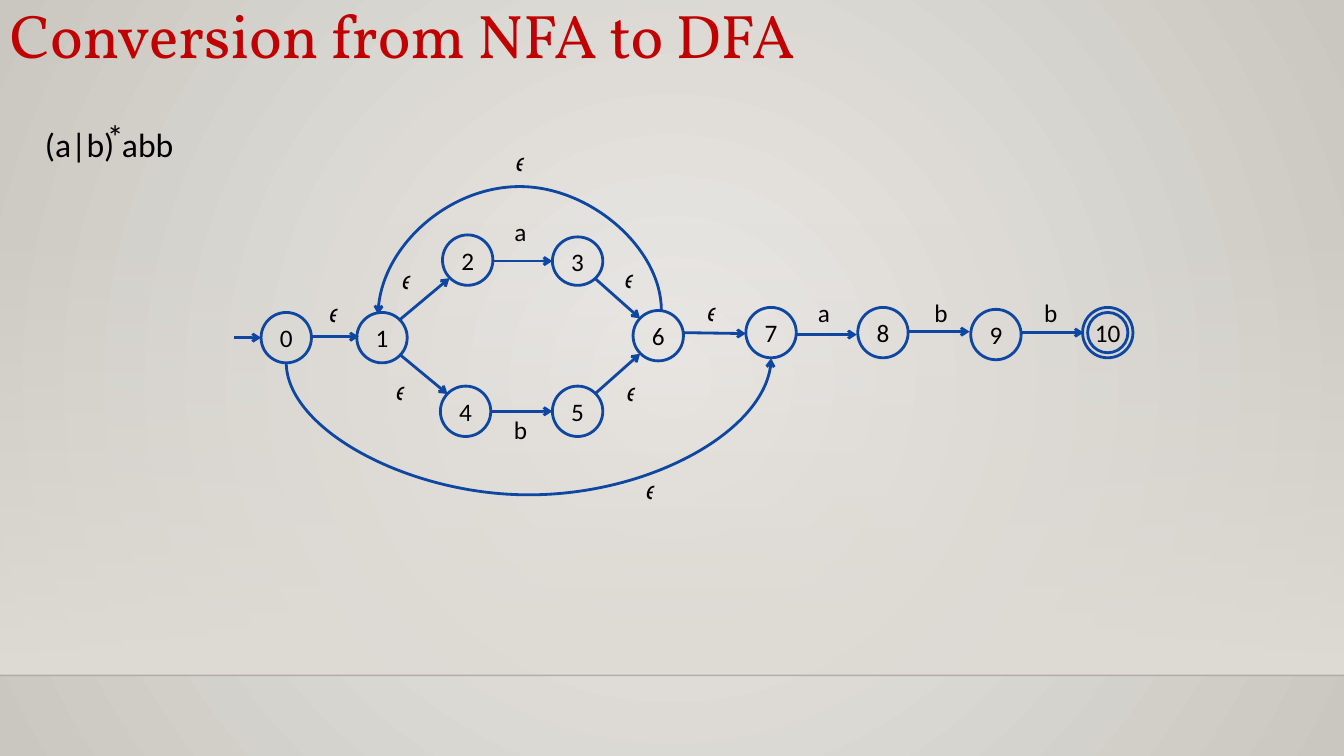
from dataclasses import dataclass

from lxml import etree
from pptx import Presentation
from pptx.dml.color import RGBColor
from pptx.enum.shapes import MSO_CONNECTOR, MSO_SHAPE
from pptx.enum.text import MSO_ANCHOR, PP_ALIGN
from pptx.oxml import parse_xml
from pptx.oxml.ns import nsdecls, qn
from pptx.util import Pt

OVAL, RECTANGLE = MSO_SHAPE.OVAL, MSO_SHAPE.RECTANGLE
STRAIGHT, CURVE = MSO_CONNECTOR.STRAIGHT, MSO_CONNECTOR.CURVE
TOP, MIDDLE = MSO_ANCHOR.TOP, MSO_ANCHOR.MIDDLE
LEFT, CENTER = PP_ALIGN.LEFT, PP_ALIGN.CENTER

BLUE = RGBColor(0x0E, 0x47, 0xA1)
RED = RGBColor(0xC0, 0x00, 0x00)
BLACK = RGBColor(0x00, 0x00, 0x00)
HORIZON = RGBColor(0x00, 0x00, 0x01)
WALL_LIGHT = RGBColor(0xEC, 0xEA, 0xE7)
WALL_DARK = RGBColor(0xCA, 0xC7, 0xC1)
FLOOR = RGBColor(0xDF, 0xDB, 0xD5)

WIDTH, HEIGHT = 960, 540
HORIZON_Y = 482.4
DIAMETER = 36
RING_INSET = 3.6
LABEL_W, LABEL_H = 28, 24.5
RADIAL = ('<a:path path="circle"><a:fillToRect l="50000" t="50000" '
          'r="50000" b="50000"/></a:path>')
DOWNWARD = '<a:lin ang="5400000" scaled="0"/>'


@dataclass
class State:
    name: str
    left: float
    top: float
    height: float = DIAMETER
    accepting: bool = False


@dataclass
class Move:
    x1: float
    y1: float
    x2: float
    y2: float


@dataclass
class Jump:
    """A curved transition that leaves and enters states vertically."""
    center_x: float
    center_y: float
    span: float
    offset: float
    turn: int


@dataclass
class Label:
    text: str
    left: float
    top: float
    width: float = LABEL_W
    height: float = LABEL_H
    size: float = 18


STATES = [
    State("0", 186.5, 223.2), State("1", 254.9, 223.2),
    State("2", 316.1, 167.8), State("3", 394.6, 169.2, height=34.6),
    State("4", 314.6, 275.8), State("5", 394.6, 275.8),
    State("6", 452.2, 221.8), State("7", 532.8, 219.6),
    State("8", 612.7, 219.6), State("9", 693.4, 221),
    State("10", 773.3, 219.6, accepting=True),
]
MOVES = [
    Move(167, 241.2, 186.5, 241.2), Move(223.2, 240.5, 256.3, 240.5),
    Move(285.8, 228.2, 321.1, 198.7), Move(285.8, 253.4, 319.7, 281.5),
    Move(352.1, 186.5, 394.6, 186.5), Move(350.6, 293.8, 394.6, 293.8),
    Move(424.8, 198.7, 457.2, 227.5), Move(424.8, 281.5, 457.2, 252.7),
    Move(488.2, 237.6, 532.8, 238.3), Move(568.1, 239, 612, 239),
    Move(648.7, 236.9, 692.6, 236.9), Move(729.4, 237.6, 774, 237.6),
]
JUMPS = [
    Jump(371.3, 223.2, 202.3, 2.88, 270),
    Jump(377.6, 257.4, 346.3, 3.08, 90),
]
JUMP_BEND = -3059900
SYMBOLS = [
    Label("𝜖", 224.6, 211), Label("𝜖", 276.5, 187.2),
    Label("𝜖", 272.2, 266.4), Label("a", 357.8, 153.4),
    Label("b", 357.8, 294.5), Label("𝜖", 435.6, 186.5),
    Label("𝜖", 437, 267.1), Label("𝜖", 494.6, 210.2),
    Label("a", 574.6, 211), Label("b", 658.1, 211), Label("b", 736.6, 211),
    Label("𝜖", 357.8, 103), Label("𝜖", 450.7, 337.7),
]
EXPRESSION = [
    Label("(a|b)", 18, 87.8, 77.8, 30.2, 24),
    Label("*", 69.1, 82.1, 26.6, 30.2, 24),
    Label("abb", 78.5, 87.8, 54, 30.2, 24),
]


def write(frame, text: str, *, size: float = 18, font: str = "Calibri",
          color: RGBColor = BLACK, align=CENTER, anchor=MIDDLE,
          margins: tuple = (0, 0), spacing: float = 1, wrap: bool = False) -> None:
    side, edge = margins
    frame.margin_left = frame.margin_right = Pt(side)
    frame.margin_top = frame.margin_bottom = Pt(edge)
    frame.word_wrap = wrap
    frame.vertical_anchor = anchor
    paragraph = frame.paragraphs[0]
    paragraph.alignment = align
    paragraph.line_spacing = spacing
    run = paragraph.add_run()
    run.text = text
    run.font.size, run.font.name = Pt(size), font
    run.font.color.rgb = color


def set_gradient(element, stops: list, shade: str) -> None:
    """Replace the element's first solid fill; stops are (colour, opacity %)."""
    marks = "".join(
        f'<a:gs pos="{i * 100000}"><a:srgbClr val="{color}">'
        f'<a:alpha val="{opacity * 1000}"/></a:srgbClr></a:gs>'
        for i, (color, opacity) in enumerate(stops))
    solid = next(element.iter(qn("a:solidFill")))
    solid.getparent().replace(solid, parse_xml(
        f'<a:gradFill {nsdecls("a")} rotWithShape="1">'
        f'<a:gsLst>{marks}</a:gsLst>{shade}</a:gradFill>'))


def add_line(slide, move: Move, color: RGBColor = BLUE, weight: float = 2,
             kind=STRAIGHT, arrow: bool = True):
    line = slide.shapes.add_connector(
        kind, Pt(move.x1), Pt(move.y1), Pt(move.x2), Pt(move.y2))
    line.line.color.rgb = color
    line.line.width = Pt(weight)
    if arrow:
        etree.SubElement(line.line._get_or_add_ln(), qn("a:tailEnd"), type="arrow")
    etree.SubElement(line.element.spPr, qn("a:effectLst"))
    return line


def add_jump(slide, jump: Jump) -> None:
    dx, dy = jump.offset / 2, jump.span / 2
    x, y = jump.center_x, jump.center_y
    curve = add_line(slide, Move(x + dx, y + dy, x - dx, y - dy), kind=CURVE)
    properties = curve.element.spPr
    properties.find(qn("a:xfrm")).set("rot", str(jump.turn * 60000))
    guides = properties.find(qn("a:prstGeom")).get_or_add_avLst()
    etree.SubElement(guides, qn("a:gd"), name="adj1", fmla=f"val {JUMP_BEND}")


def add_circle(slide, left: float, top: float, width: float, height: float):
    circle = slide.shapes.add_shape(OVAL, Pt(left), Pt(top), Pt(width), Pt(height))
    circle.shadow.inherit = False
    circle.fill.background()
    circle.line.color.rgb = BLUE
    circle.line.width = Pt(2)
    return circle


def add_state(slide, state: State) -> None:
    circle = add_circle(slide, state.left, state.top, DIAMETER, state.height)
    write(circle.text_frame, state.name)
    if state.accepting:
        inner = DIAMETER - 2 * RING_INSET
        add_circle(slide, state.left + RING_INSET, state.top + RING_INSET, inner, inner)


def add_label(slide, label: Label, **style) -> None:
    box = slide.shapes.add_textbox(
        Pt(label.left), Pt(label.top), Pt(label.width), Pt(label.height))
    write(box.text_frame, label.text, size=label.size, **style)


def add_backdrop(slide) -> None:
    slide.background.fill.solid()
    slide.background.fill.fore_color.rgb = WALL_LIGHT
    set_gradient(slide.element, [(WALL_LIGHT, 100), (WALL_DARK, 100)], RADIAL)
    floor = slide.shapes.add_shape(
        RECTANGLE, Pt(0), Pt(159), Pt(WIDTH), Pt(HORIZON_Y - 159))
    floor.shadow.inherit = False
    floor.line.fill.background()
    floor.fill.solid()
    floor.fill.fore_color.rgb = FLOOR
    set_gradient(floor.element, [(FLOOR, 0), (FLOOR, 100)], DOWNWARD)
    horizon = add_line(slide, Move(0, HORIZON_Y, WIDTH, HORIZON_Y), HORIZON, 1, arrow=False)
    tint = next(horizon.element.iter(qn("a:srgbClr")))
    etree.SubElement(tint, qn("a:alpha"), val="20000")


def main() -> None:
    deck = Presentation()
    deck.slide_width, deck.slide_height = Pt(WIDTH), Pt(HEIGHT)
    slide = deck.slides.add_slide(deck.slide_layouts[6])
    add_backdrop(slide)

    # Title and regular expression
    add_label(slide, Label("Conversion from NFA to DFA", 0, 0, WIDTH, 56.2, 44),
              font="Vollkorn", color=RED, align=LEFT, anchor=TOP,
              margins=(7.2, 3.6), spacing=0.9, wrap=True)
    for part in EXPRESSION:
        add_label(slide, part)

    # Automaton
    for state in STATES:
        add_state(slide, state)
    for move in MOVES:
        add_line(slide, move)
    for jump in JUMPS:
        add_jump(slide, jump)
    for symbol in SYMBOLS:
        add_label(slide, symbol)
    deck.save("out.pptx")


if __name__ == "__main__":
    main()
